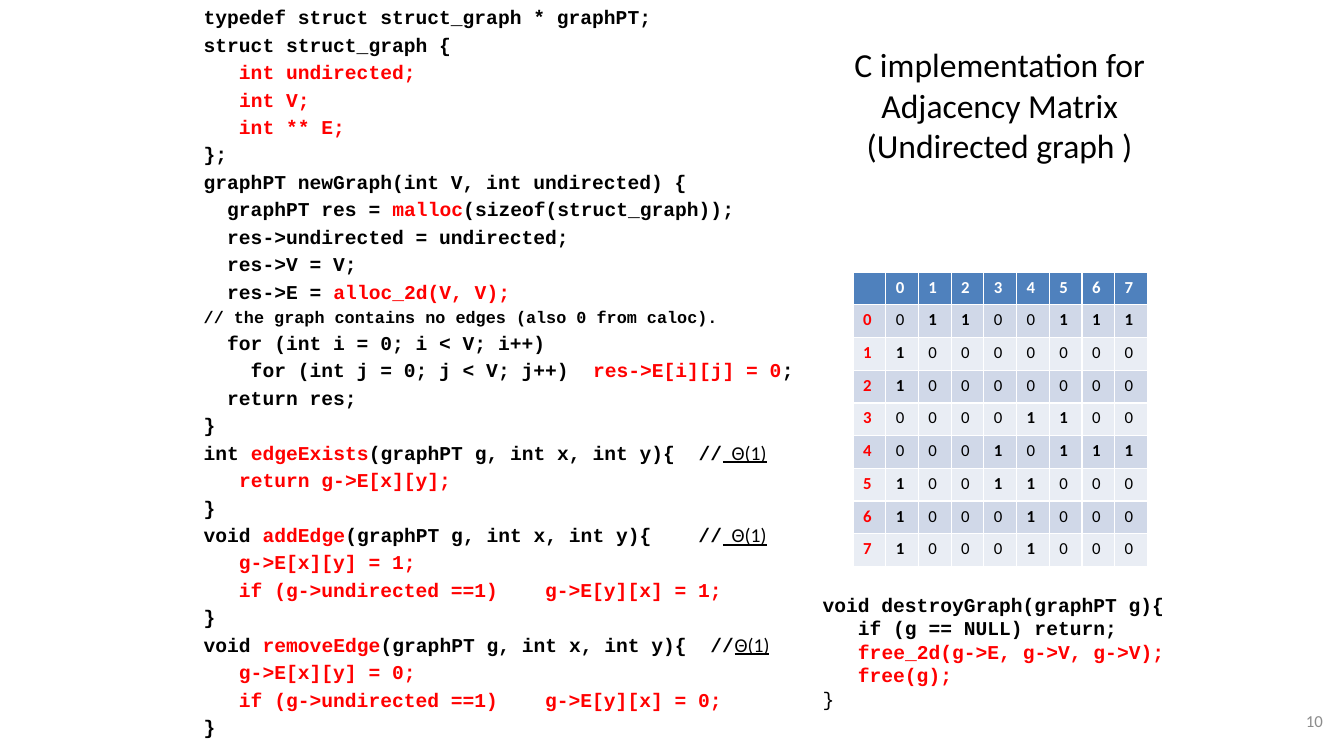
from pptx import Presentation
from pptx.dml.color import RGBColor
from pptx.enum.text import MSO_ANCHOR as Anchor, MSO_AUTO_SIZE as AutoSize, PP_ALIGN as Align
from pptx.util import Inches, Pt
from lxml.etree import SubElement
from pptx.oxml.ns import qn

BLACK, RED, WHITE = "000000", "FF0000", "FFFFFF"

GRAPH_CODE = """typedef struct struct_graph * graphPT;
struct struct_graph {
|   int undirected;
   |int V;
|   int ** E;
};
graphPT newGraph(int V, int undirected) {
  graphPT res = |malloc|(sizeof(struct_graph));
  res->undirected = undirected;
  res->V = V;
  res->E = |alloc_2d(V, V);
// the graph contains no edges (also 0 from caloc).
  for (int i = 0; i < V; i++)
    for (int j = 0; j < V; j++)  |res->E[i][j] = 0|;
  return res;
}
int |edgeExists|(graphPT g, int x, int y){  //|  Θ(1)
   |return g->E[x][y];
}
void |addEdge|(graphPT g, int x, int y){    //|  Θ(1)
|   g->E[x][y] = 1;
|   if (g->undirected ==1)    g->E[y][x] = 1;
}
void |removeEdge|(graphPT g, int x, int y){  //|Θ(1)
|   g->E[x][y] = 0;
|   if (g->undirected ==1)    g->E[y][x] = 0;
}"""

DESTROY_CODE = """void destroyGraph(graphPT g){
   if (g == NULL) return;
   |free_2d(g->E, g->V, g->V);
|   free(g);
}"""

ADJACENCY = ["01100111", "10000000", "10000000", "00001100",
             "00010111", "10011000", "10001000", "10001000"]


def add_run(paragraph, text, size, color=BLACK, bold=False, name="Calibri"):
    run = paragraph.add_run()
    run.text = text
    run.font.size = Pt(size)
    run.font.name = name
    run.font.bold = bold
    run.font.color.rgb = RGBColor.from_string(color)
    return run


def add_code(frame, code):
    for number, line in enumerate(code.splitlines()):
        paragraph = frame.add_paragraph() if number else frame.paragraphs[0]
        size = 12 if line.startswith("//") else 14
        for index, piece in enumerate(line.split("|")):
            if "Θ" in piece:
                add_run(paragraph, piece, size).font.underline = True
            elif piece:
                color = RED if index % 2 else BLACK
                add_run(paragraph, piece, size, color, True, "Courier New")


presentation = Presentation()
presentation.slide_width, presentation.slide_height = Inches(13.33), Inches(7.5)
slide = presentation.slides.add_slide(presentation.slide_layouts[1])

title, body = slide.placeholders
title.left, title.top, title.width, title.height = map(Inches, (8.25, 0.33, 3.33, 1.42))
title.text_frame.auto_size = AutoSize.NONE
title.text_frame.vertical_anchor = Anchor.MIDDLE
title.text_frame.paragraphs[0].alignment = Align.CENTER
add_run(title.text_frame.paragraphs[0],
        "C implementation for Adjacency Matrix (Undirected graph )", 24)

body.left, body.top, body.width, body.height = map(Inches, (1.92, 0, 6.33, 7.5))
body.text_frame.auto_size = AutoSize.NONE
add_code(body.text_frame, GRAPH_CODE)
for paragraph in body.text_frame.paragraphs:
    properties = paragraph._p.get_or_add_pPr()
    properties.set("marL", "0")
    properties.set("indent", "0")
    SubElement(properties, qn("a:buNone"))
body.text_frame.paragraphs[0].space_before = Pt(0)

page_box = slide.shapes.add_textbox(Inches(10.11), Inches(6.95), Inches(3.11), Inches(0.4))
page_box.text_frame.word_wrap = True
page_box.text_frame.vertical_anchor = Anchor.MIDDLE
page_box.text_frame.paragraphs[0].alignment = Align.RIGHT
add_run(page_box.text_frame.paragraphs[0], "10", 12, "8C8C8C")

matrix = slide.shapes.add_table(9, 9, Inches(8.46), Inches(2.7), Inches(2.92), Inches(2.92)).table
rows = [" 01234567"] + [f"{vertex}{edges}" for vertex, edges in enumerate(ADJACENCY)]
for row, values in enumerate(rows):
    for column, value in enumerate(values):
        cell = matrix.cell(row, column)
        fill = "4F81BD" if row == 0 else "D0D8E8" if row % 2 else "E9EDF4"
        cell.fill.solid()
        cell.fill.fore_color.rgb = RGBColor.from_string(fill)
        color = WHITE if row == 0 else RED if column == 0 else BLACK
        bold = row == 0 or column == 0 or value == "1"
        paragraph = cell.text_frame.paragraphs[0]
        paragraph.font.size = Pt(12)
        if value.strip():
            add_run(paragraph, value, 12, color, bold)

destroy_box = slide.shapes.add_textbox(Inches(8.06), Inches(5.83), Inches(3.61), Inches(1.28))
destroy_box.text_frame.word_wrap = False
destroy_box.text_frame.auto_size = AutoSize.SHAPE_TO_FIT_TEXT
add_code(destroy_box.text_frame, DESTROY_CODE)
destroy_box.text_frame.paragraphs[-1].runs[0].font.bold = False

presentation.save("out.pptx")
